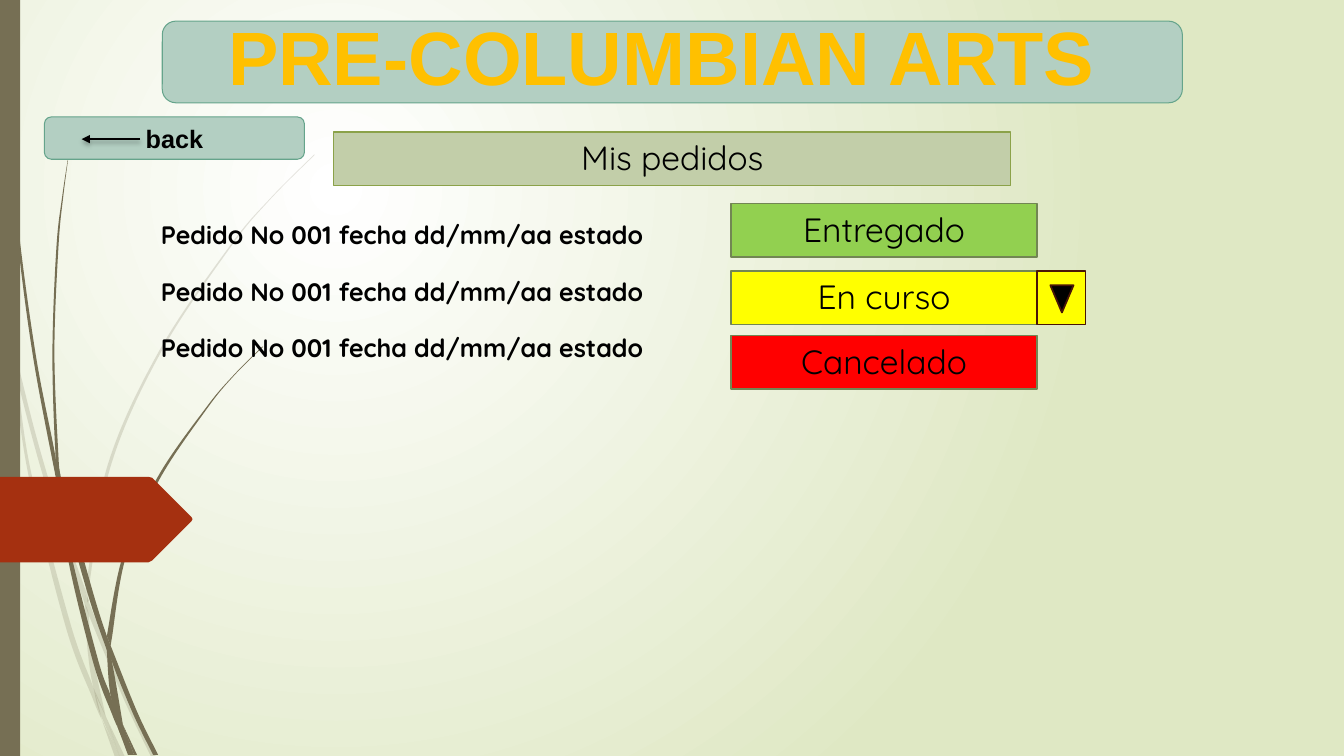
"""Build the order status slide of a pre-Columbian arts shop."""
from lxml import etree
from pptx import Presentation
from pptx.dml.color import RGBColor
from pptx.enum.shapes import MSO_CONNECTOR, MSO_SHAPE
from pptx.enum.text import MSO_ANCHOR, PP_ALIGN
from pptx.oxml import parse_xml
from pptx.oxml.ns import nsdecls, qn
from pptx.util import Inches, Pt

RECTANGLE, ROUNDED = MSO_SHAPE.RECTANGLE, MSO_SHAPE.ROUNDED_RECTANGLE
TRIANGLE, STRAIGHT = MSO_SHAPE.ISOSCELES_TRIANGLE, MSO_CONNECTOR.STRAIGHT
TOP, MIDDLE, BOTTOM = MSO_ANCHOR.TOP, MSO_ANCHOR.MIDDLE, MSO_ANCHOR.BOTTOM
CENTER = PP_ALIGN.CENTER

TITLE, BACK, HEADING = "PRE-COLUMBIAN ARTS ", "back", "Mis pedidos"
ORDER = "Pedido No 001 fecha dd/mm/aa estado"
ORDER_COUNT = 3
STATUSES = [
    ("Entregado", "92D050", 2.02),
    ("En curso", "FFFF00", 2.69),
    ("Cancelado", "FF0000", 3.33),
]
HEIGHT = 7.5
WIDTH = HEIGHT * 16 / 9
ROW_HEIGHT, ORDER_TOP, ORDER_PITCH = 0.53, 2.13, 0.56
STATUS_LEFT, STATUS_WIDTH = 7.25, 3.04
BROWN, BLACK, SAGE, SAGE_EDGE = "766F54", "000000", "B3CFC2", "65A48B"
STATUS_EDGE, PICKER_EDGE = "728653", "481507"

FAINT_GRASS = [
    ([(0, 2.82), (0.09, 3.22), (0.11, 3.5)], [(0, 2.99), (0.1, 3.44)]),
    ([(0.14, 3.45), (0.36, 4.33), (0.62, 5.2), (0.85, 5.86)],
     [(0.17, 3.76), (0.36, 4.49), (0.58, 5.22), (0.84, 5.99)]),
    ([(0.88, 5.96), (0.92, 6.07), (1.27, 6.92), (1.55, 7.51)],
     [(0.88, 6.1), (1.23, 6.94), (1.5, 7.51)]),
    ([(1.05, 7.11), (1.24, 7.51)], [(1.19, 7.51)]),
    ([(0.11, 3.5), (0.17, 3.76), (0.31, 4.69), (0.7, 6.19), (0.93, 6.83), (1.01, 7.14)],
     [(0.11, 3.5), (0.28, 4.7), (0.65, 6.21), (0.92, 6.93), (1.01, 7.14)]),
    ([(0.84, 5.99), (0.87, 6.46), (0.93, 6.83), (1.05, 7.11)],
     [(0.84, 5.99), (0.88, 6.1), (0.91, 6.46), (1.05, 7.11)]),
    ([(3.12, 1.53), (2.68, 1.97), (2.28, 2.44), (1.58, 3.48), (1.07, 4.61), (0.85, 5.84)],
     [(3.12, 1.54), (2.68, 1.98), (2.29, 2.45), (1.6, 3.49), (1.1, 4.62), (0.88, 5.84),
      (0.88, 5.96)]),
    ([(1.01, 7.14), (1.14, 7.51)], [(1.19, 7.51)]),
    ([(0.85, 5.86), (0.84, 5.99)], [(0.88, 5.96), (0.88, 6.1)]),
    ([(0.93, 6.83), (0.99, 7.07), (1.19, 7.51)], [(0.93, 6.83), (1.05, 7.11), (1.19, 7.51)]),
]
DARK_GRASS = [
    ([(0.03, 0), (0.04, 0.48), (0.07, 1.1), (0.17, 2.33), (0.33, 3.55), (0.56, 4.77)],
     [(0.04, 0), (0.05, 0.48), (0.08, 1.09), (0.19, 2.32), (0.36, 3.55), (0.55, 4.53),
      (0.57, 4.81)]),
    ([(0.6, 4.72), (0.64, 5.05), (0.88, 5.92), (1.06, 6.45)],
     [(0.6, 4.72), (0.93, 5.9), (1.06, 6.31)]),
    ([(1.1, 6.41), (1.11, 6.56), (1.32, 7.08), (1.52, 7.49)],
     [(1.1, 6.41), (1.36, 7.06), (1.57, 7.49)]),
    ([(0.57, 4.77), (0.68, 5.57), (0.93, 6.59), (1.11, 7.08), (1.17, 7.22)],
     [(0.57, 4.77), (0.64, 5.05), (0.72, 5.56), (0.98, 6.57), (1.1, 6.91), (1.17, 7.22)]),
    ([(0.7, 1.41), (0.62, 1.93), (0.56, 2.45), (0.52, 3.49), (0.55, 4.49), (0.6, 4.72)],
     [(0.7, 1.41), (0.63, 1.93), (0.58, 2.45), (0.54, 3.49), (0.58, 4.53), (0.6, 4.72)]),
    ([(1.22, 7.19), (1.33, 7.49)], [(1.36, 7.49)]),
    ([(0.55, 4.49), (0.57, 4.77), (0.64, 5.05)], [(0.55, 4.49), (0.6, 4.72), (0.64, 5.05)]),
    ([(2.6, 3.44), (2.31, 3.73), (2.04, 4.05), (1.56, 4.74), (1.22, 5.51), (1.06, 6.31)],
     [(2.61, 3.44), (2.31, 3.74), (2.05, 4.06), (1.58, 4.76), (1.25, 5.52), (1.11, 6.33),
      (1.1, 6.41)]),
    ([(1.17, 7.22), (1.27, 7.49)], [(1.31, 7.49)]),
    ([(1.06, 6.45), (1.1, 6.91), (1.22, 7.19)], [(1.06, 6.45), (1.11, 6.56), (1.22, 7.19)]),
    ([(1.06, 6.31), (1.06, 6.45)], [(1.1, 6.41), (1.11, 6.56)]),
    ([(1.1, 6.91), (1.17, 7.22), (1.3, 7.49)], [(1.1, 6.91), (1.22, 7.19), (1.33, 7.49)]),
]
PENNANT = [(0, 4.73), (1.47, 4.73), (1.51, 4.74), (1.9, 5.13), (1.91, 5.15),
           (1.9, 5.17), (1.51, 5.56), (1.47, 5.58), (0, 5.58)]


def color(value):
    return RGBColor.from_string(value)


def paint(shape, fill, line=None, weight=0.75, alpha=None):
    shape.shadow.inherit = False
    shape.fill.solid()
    shape.fill.fore_color.rgb = color(fill)
    if alpha:
        hue = shape._element.spPr.find(qn("a:solidFill"))[0]
        etree.SubElement(hue, qn("a:alpha"), val=str(alpha * 1000))
    if line:
        shape.line.color.rgb = color(line)
        shape.line.width = Pt(weight)
    else:
        shape.line.fill.background()


def add_outline(shapes, points, fill, alpha=None):
    units = [(round(x * 1000), round(y * 1000)) for x, y in points]
    builder = shapes.build_freeform(*units[0], scale=Inches(1) / 1000)
    builder.add_line_segments(units[1:], close=True)
    shape = builder.convert_to_shape()
    paint(shape, fill, alpha=alpha)
    return shape


def bend(shape, corner):
    """Turn the straight steps on both sides of the corner into curves."""
    steps = shape._element.xpath(".//a:moveTo | .//a:lnTo")
    points = [(int(step[0].get("x")), int(step[0].get("y"))) for step in steps]
    for first, last in ((0, corner), (corner, len(points))):
        edge = [points[first], *points[first:last], points[last - 1]]
        spans = zip(edge, edge[1:], edge[2:], edge[3:])
        for step, (before, start, end, after) in zip(steps[first + 1:last], spans):
            leave = [s + (e - b) / 6 for b, s, e in zip(before, start, end)]
            arrive = [e - (a - s) / 6 for s, e, a in zip(start, end, after)]
            step.tag = qn("a:cubicBezTo")
            for index, (x, y) in enumerate((leave, arrive)):
                step.insert(index, step.makeelement(
                    qn("a:pt"), {"x": str(round(x)), "y": str(round(y))}))


def add_grass(slide, blades, alpha=None):
    group = slide.shapes.add_group_shape()
    for left_edge, right_edge in blades:
        outline = left_edge + right_edge[::-1]
        bend(add_outline(group.shapes, outline, BROWN, alpha), len(left_edge))


def add_box(slide, kind, place, fill, line=None, weight=0.75):
    shape = slide.shapes.add_shape(kind, *map(Inches, place))
    paint(shape, fill, line, weight)
    return shape


def write(shape, text, size, font="Quicksand", bold=False, anchor=TOP, ink=BLACK):
    frame = shape.text_frame
    frame.word_wrap = True
    frame.vertical_anchor = anchor
    paragraph = frame.paragraphs[0]
    paragraph.text = text
    paragraph.alignment = CENTER
    paragraph.font.name, paragraph.font.size = font, Pt(size)
    paragraph.font.bold = bold
    paragraph.font.color.rgb = color(ink)
    return frame


def add_text(slide, place, *args, **style):
    return write(slide.shapes.add_textbox(*map(Inches, place)), *args, **style)


def add_back_arrow(slide):
    arrow = slide.shapes.add_connector(STRAIGHT, *map(Inches, (1.39, 1.38, 0.81, 1.38)))
    arrow.line.color.rgb = color(BLACK)
    arrow.line.width = Pt(1.75)
    etree.SubElement(arrow.line._get_or_add_ln(), qn("a:tailEnd"), type="triangle")
    arrow._element.spPr.append(parse_xml(
        f'<a:effectLst {nsdecls("a")}><a:outerShdw blurRad="{Pt(3)}" dist="{Pt(2)}" '
        f'dir="5400000"><a:srgbClr val="{BLACK}"><a:alpha val="25000"/></a:srgbClr>'
        '</a:outerShdw></a:effectLst>'))


def set_background(slide):
    fill = slide.background.fill
    fill.gradient()
    for stop, hue in zip(fill.gradient_stops, ("FFFFFF", "DFE8C4")):
        stop.color.rgb = color(hue)
    gradient = slide._element.xpath(".//p:bg//a:gradFill")[0]
    gradient.replace(gradient.find(qn("a:lin")), parse_xml(
        f'<a:path {nsdecls("a")} path="circle">'
        '<a:fillToRect l="50000" t="50000" r="100000" b="100000"/></a:path>'))


def main():
    presentation = Presentation()
    presentation.slide_width, presentation.slide_height = Inches(WIDTH), Inches(HEIGHT)
    slide = presentation.slides.add_slide(presentation.slide_layouts[6])
    set_background(slide)
    add_grass(slide, FAINT_GRASS, alpha=20)
    add_grass(slide, DARK_GRASS)
    add_box(slide, RECTANGLE, (0, 0, 0.2, HEIGHT), BROWN)
    add_outline(slide.shapes, PENNANT, "A53010")

    add_box(slide, ROUNDED, (1.61, 0.21, 10.12, 0.81), SAGE, SAGE_EDGE)
    title = add_text(slide, (1.82, 0.33, 9.69, 0.68), TITLE, 54, "Arial", True, BOTTOM, "FFC000")
    title.margin_bottom = 0
    title.paragraphs[0].line_spacing = 0.9
    for row in range(ORDER_COUNT):
        top = ORDER_TOP + row * ORDER_PITCH
        add_text(slide, (1.21, top, 5.56, ROW_HEIGHT), ORDER, 18, bold=True)
    heading = add_box(slide, RECTANGLE, (3.31, 1.31, 6.72, ROW_HEIGHT), "C2CEA9", "8BA249")
    write(heading, HEADING, 24)
    for label, fill, top in STATUSES:
        place = (STATUS_LEFT, top, STATUS_WIDTH, ROW_HEIGHT)
        write(add_box(slide, RECTANGLE, place, fill, STATUS_EDGE, 1.25), label, 24)

    picker = (STATUS_LEFT + STATUS_WIDTH, STATUSES[1][2], 0.48, ROW_HEIGHT)
    add_box(slide, RECTANGLE, picker, "FFFF00", PICKER_EDGE, 1.25)
    pointer = add_box(slide, TRIANGLE, (10.42, 2.83, 0.23, 0.27), BLACK, PICKER_EDGE, 1.25)
    pointer.rotation = 180
    back = add_box(slide, ROUNDED, (0.44, 1.16, 2.58, 0.42), SAGE, SAGE_EDGE)
    write(back, BACK, 18, "Arial", True, MIDDLE)
    add_back_arrow(slide)
    presentation.save("out.pptx")


if __name__ == "__main__":
    main()
